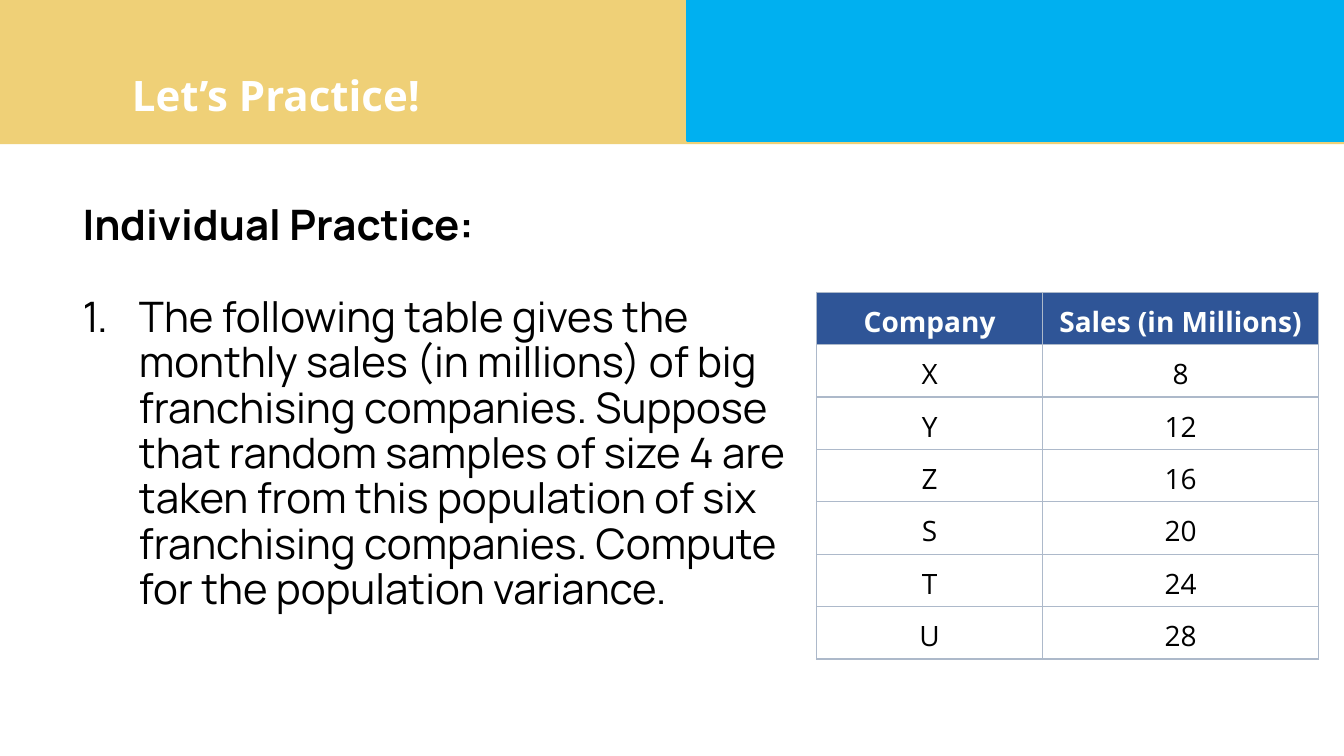
from dataclasses import dataclass

from lxml.etree import SubElement
from pptx import Presentation
from pptx.dml.color import RGBColor
from pptx.enum.shapes import MSO_SHAPE as Preset
from pptx.enum.text import MSO_ANCHOR as Anchor, PP_ALIGN as Align
from pptx.oxml.ns import qn
from pptx.util import Pt

EMU_PER_PX = 9144
COLORS = {
    "gold": "EFD077",
    "blue": "00B0F0",
    "header": "2F5597",
    "header_text": "FEFFFE",
    "border": "ADB9CA",
    "white": "FFFFFF",
    "black": "000000",
}
HEADING_FONT = "Open Sans"
BODY_FONT = "Manrope"
PROBLEM = (
    "The following table gives the monthly sales (in millions) of big "
    "franchising companies. Suppose that random samples of size 4 are taken "
    "from this population of six franchising companies. Compute for the "
    "population variance."
)
SALES = [
    ("Company", "Sales (in Millions)"),
    ("X", "8"),
    ("Y", "12"),
    ("Z", "16"),
    ("S", "20"),
    ("T", "24"),
    ("U", "28"),
]
COLUMN_WIDTHS = (224, 274)
ROW_HEIGHT = 52


@dataclass(frozen=True)
class Box:
    left: int
    top: int
    width: int
    height: int

    def emu(self) -> tuple[int, int, int, int]:
        return px(self.left), px(self.top), px(self.width), px(self.height)


@dataclass(frozen=True)
class Band:
    box: Box
    color: str
    line_width: int = 0


@dataclass(frozen=True)
class TextStyle:
    font: str
    size: int
    color: str
    bold: bool = False
    line_spacing: float = 1.0


GOLD_BAND = Band(Box(0, 0, 1333, 143), "gold")
BLUE_BAND = Band(Box(682, 0, 651, 140), "blue", 2)
TITLE_STYLE = TextStyle(HEADING_FONT, 30, "white", True)
SUBTITLE_STYLE = TextStyle(BODY_FONT, 30, "black", True, 0.9)
PROBLEM_STYLE = TextStyle(BODY_FONT, 30, "black", False, 0.9)
HEADER_STYLE = TextStyle(HEADING_FONT, 20, "header_text", True, 1.15)
CELL_STYLE = TextStyle(HEADING_FONT, 20, "black", False, 1.15)


def px(length: int) -> int:
    return length * EMU_PER_PX


def rgb(name: str) -> RGBColor:
    return RGBColor.from_string(COLORS[name])


def write(paragraph, text: str, style: TextStyle) -> None:
    paragraph.text = text
    paragraph.line_spacing = style.line_spacing
    paragraph.font.name = style.font
    paragraph.font.size = Pt(style.size)
    paragraph.font.bold = style.bold
    paragraph.font.color.rgb = rgb(style.color)


def add_band(slide, band: Band) -> None:
    shape = slide.shapes.add_shape(Preset.RECTANGLE, *band.box.emu())
    shape.shadow.inherit = False
    shape.fill.solid()
    shape.fill.fore_color.rgb = rgb(band.color)
    if band.line_width:
        shape.line.color.rgb = rgb(band.color)
        shape.line.width = Pt(band.line_width)
    else:
        shape.line.fill.background()


def add_text_frame(slide, box: Box, vertical_inset: int):
    frame = slide.shapes.add_textbox(*box.emu()).text_frame
    frame.word_wrap = True
    frame.margin_left = frame.margin_right = px(10)
    frame.margin_top = frame.margin_bottom = px(vertical_inset)
    return frame


def number_paragraph(paragraph, indent: int) -> None:
    properties = paragraph._p.get_or_add_pPr()
    properties.set("marL", str(px(indent)))
    properties.set("indent", str(-px(indent)))
    SubElement(properties, qn("a:buFont"), typeface="+mj-lt")
    SubElement(properties, qn("a:buAutoNum"), type="arabicPeriod")


def add_borders(cell) -> None:
    properties = cell._tc.get_or_add_tcPr()
    for index, side in enumerate(("lnL", "lnR", "lnT", "lnB")):
        line = SubElement(properties, qn(f"a:{side}"), w=str(Pt(1)))
        fill = SubElement(line, qn("a:solidFill"))
        SubElement(fill, qn("a:srgbClr"), val=COLORS["border"])
        properties.insert(index, line)


def fill_cell(cell, text: str, is_header: bool) -> None:
    cell.vertical_anchor = Anchor.MIDDLE
    cell.margin_left = cell.margin_right = px(7)
    cell.margin_top = cell.margin_bottom = 0
    if is_header:
        cell.fill.solid()
        cell.fill.fore_color.rgb = rgb("header")
    else:
        cell.fill.background()
    paragraph = cell.text_frame.paragraphs[0]
    write(paragraph, text, HEADER_STYLE if is_header else CELL_STYLE)
    paragraph.alignment = Align.CENTER
    add_borders(cell)


def add_sales_table(slide, left: int, top: int) -> None:
    box = Box(left, top, sum(COLUMN_WIDTHS), ROW_HEIGHT * len(SALES))
    table = slide.shapes.add_table(
        len(SALES), len(COLUMN_WIDTHS), *box.emu()
    ).table
    table.first_row = table.horz_banding = False
    for column, width in zip(table.columns, COLUMN_WIDTHS):
        column.width = px(width)
    for row_index, values in enumerate(SALES):
        for column_index, text in enumerate(values):
            fill_cell(table.cell(row_index, column_index), text, row_index == 0)


def main() -> None:
    presentation = Presentation()
    presentation.slide_width = px(1333)
    presentation.slide_height = px(750)
    slide = presentation.slides.add_slide(presentation.slide_layouts[6])

    add_band(slide, GOLD_BAND)
    title = add_text_frame(slide, Box(121, 59, 567, 95), 10)
    write(title.paragraphs[0], "Let’s Practice!", TITLE_STYLE)

    body = add_text_frame(slide, Box(72, 198, 738, 525), 5)
    write(body.paragraphs[0], "Individual Practice:", SUBTITLE_STYLE)
    problem = body.add_paragraph()
    write(problem, PROBLEM, PROBLEM_STYLE)
    problem.space_before = Pt(33)
    number_paragraph(problem, 56)

    add_sales_table(slide, 810, 290)
    add_band(slide, BLUE_BAND)
    presentation.save("out.pptx")


if __name__ == "__main__":
    main()
